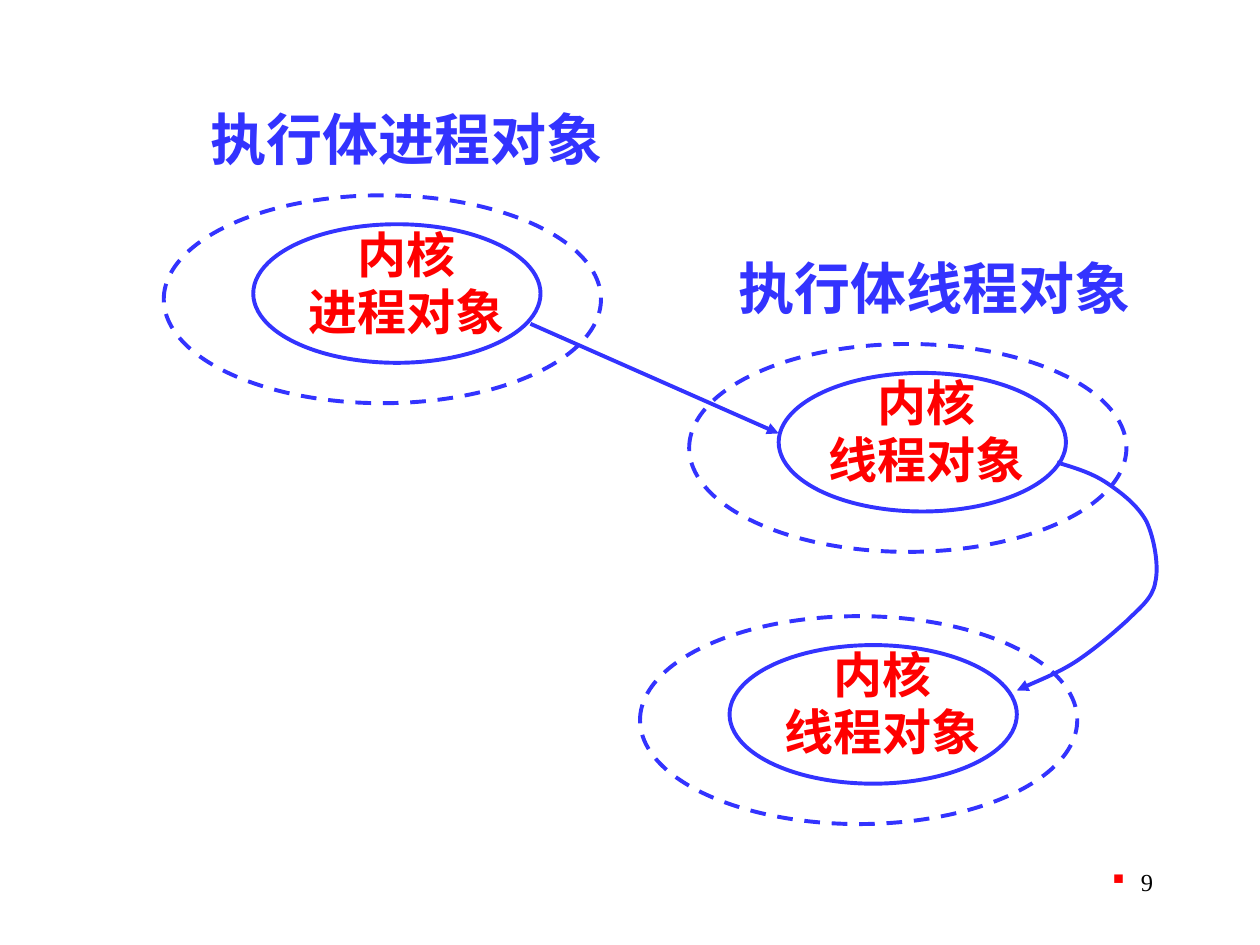
from lxml import etree
from pptx import Presentation, util as u
from pptx.dml.color import RGBColor
from pptx.enum import dml, shapes as sh, text as t
from pptx.oxml.ns import qn

HUES = {"blue": "3333FF", "red": "FF0000", "black": "000000"}
FONT = "Times New Roman"

# Content: outer ellipse corner, label lines, label width
NODES = [
    (1.3, 1.55, ["内核", "进程对象"], 1.97),
    (5.47, 2.73, ["内核", "线程对象"], 1.89),
    (5.08, 4.89, ["内核", "线程对象"], 1.97),
]
TITLES = [
    ("执行体进程对象", (1.38, 0.84, 3.7, 0.59)),
    ("执行体线程对象", (5.55, 2.02, 3.74, 0.59)),
]
PAGE = ("9", (7.17, 6.83, 2.08, 0.5))
ARROW = (4.21, 2.57, 6.18, 3.44)
# Start point, then three points for each Bezier piece
CURVE = [
    (8.39, 3.67),
    (8.52, 3.71), (8.66, 3.75), (8.78, 3.83),
    (8.9, 3.91), (9.03, 4.01), (9.1, 4.14),
    (9.16, 4.27), (9.2, 4.49), (9.17, 4.62),
    (9.15, 4.75), (9.04, 4.83), (8.94, 4.93),
    (8.83, 5.03), (8.69, 5.15), (8.54, 5.25),
    (8.4, 5.34), (8.15, 5.44), (8.07, 5.48),
]

# Text formats
LABEL = {"size": 28, "hue": "red", "bold": True, "space": 0.8, "before": 20}
TITLE = {"size": 32, "hue": "blue", "bold": True, "space": 0.9, "before": 50}
NUMBER = {"size": 14, "hue": "black", "bold": False}


def rgb(name):
    return RGBColor.from_string(HUES[name])


def inch(vals):
    return [u.Inches(v) for v in vals]


def add(node, tag, **attrs):
    return etree.SubElement(node, qn(tag), attrs)


def stroke(item, dash=False, arrow=False):
    line = item.line
    line.color.rgb = rgb("blue")
    line.width = u.Pt(2.25)
    if dash:
        line.dash_style = dml.MSO_LINE.DASH
    if arrow:
        add(line._get_or_add_ln(), "a:tailEnd", type="triangle")


def oval(slide, box, dash=False):
    item = slide.shapes.add_shape(sh.MSO_SHAPE.OVAL, *inch(box))
    item.shadow.inherit = False
    item.fill.background()
    stroke(item, dash)


def write(slide, box, lines, fmt, align=t.PP_ALIGN.CENTER):
    frame = slide.shapes.add_textbox(*inch(box)).text_frame
    frame.word_wrap = True
    frame.text = "\n".join(lines)
    if "space" in fmt:
        frame.auto_size = t.MSO_AUTO_SIZE.SHAPE_TO_FIT_TEXT
    for para in frame.paragraphs:
        para.alignment = align
        font = para.runs[0].font
        look = {"name": FONT, "size": u.Pt(fmt["size"]), "bold": fmt["bold"]}
        for key, val in look.items():
            setattr(font, key, val)
        font.color.rgb = rgb(fmt["hue"])
        if "space" in fmt:
            para.line_spacing = fmt["space"]
            props = hang(para, 0.38)
            gap = add(props, "a:spcBef")
            add(gap, "a:spcPct", val=str(fmt["before"] * 1000))
    return frame


def hang(para, size):
    props = para._p.get_or_add_pPr()
    props.set("marL", str(u.Inches(size)))
    props.set("indent", str(-u.Inches(size)))
    return props


def bullet(para):
    props = hang(para, 0.22)
    add(add(props, "a:buClr"), "a:srgbClr", val=HUES["red"])
    add(props, "a:buSzPct", val="60000")
    add(props, "a:buFont", typeface="Wingdings")
    add(props, "a:buChar", char="n")


def curve(slide, points):
    pts = [inch(p) for p in points]
    pen = slide.shapes.build_freeform(*pts[0])
    pen.add_line_segments(pts[1:], close=False)
    item = pen.convert_to_shape()
    item.shadow.inherit = False
    item.fill.background()
    # Gather each three straight steps into one Bezier piece
    steps = list(item._element.iter(qn("a:lnTo")))
    for i in range(0, len(steps), 3):
        bez = add(steps[i].getparent(), "a:cubicBezTo")
        for step in steps[i:i + 3]:
            bez.append(step[0])
            step.getparent().remove(step)
    stroke(item, arrow=True)


def main():
    prs = Presentation()
    prs.slide_width, prs.slide_height = inch((10, 7.5))
    slide = prs.slides.add_slide(prs.slide_layouts[6])

    # Page number
    num, box = PAGE
    frame = write(slide, box, [num], NUMBER, t.PP_ALIGN.RIGHT)
    bullet(frame.paragraphs[0])

    # Objects: dashed executive part around the kernel part
    for x, y, lines, wide in NODES:
        oval(slide, (x, y, 3.47, 1.65), dash=True)
        oval(slide, (x + 0.71, y + 0.23, 2.28, 1.1))
        write(slide, (x + 0.94, y + 0.27, wide, 0.94), lines, LABEL)
    for words, box in TITLES:
        write(slide, box, [words], TITLE)

    # Links
    link = slide.shapes.add_connector(sh.MSO_CONNECTOR.STRAIGHT, *inch(ARROW))
    stroke(link, arrow=True)
    add(link._element.spPr, "a:effectLst")
    curve(slide, CURVE)

    prs.save("out.pptx")


if __name__ == "__main__":
    main()
